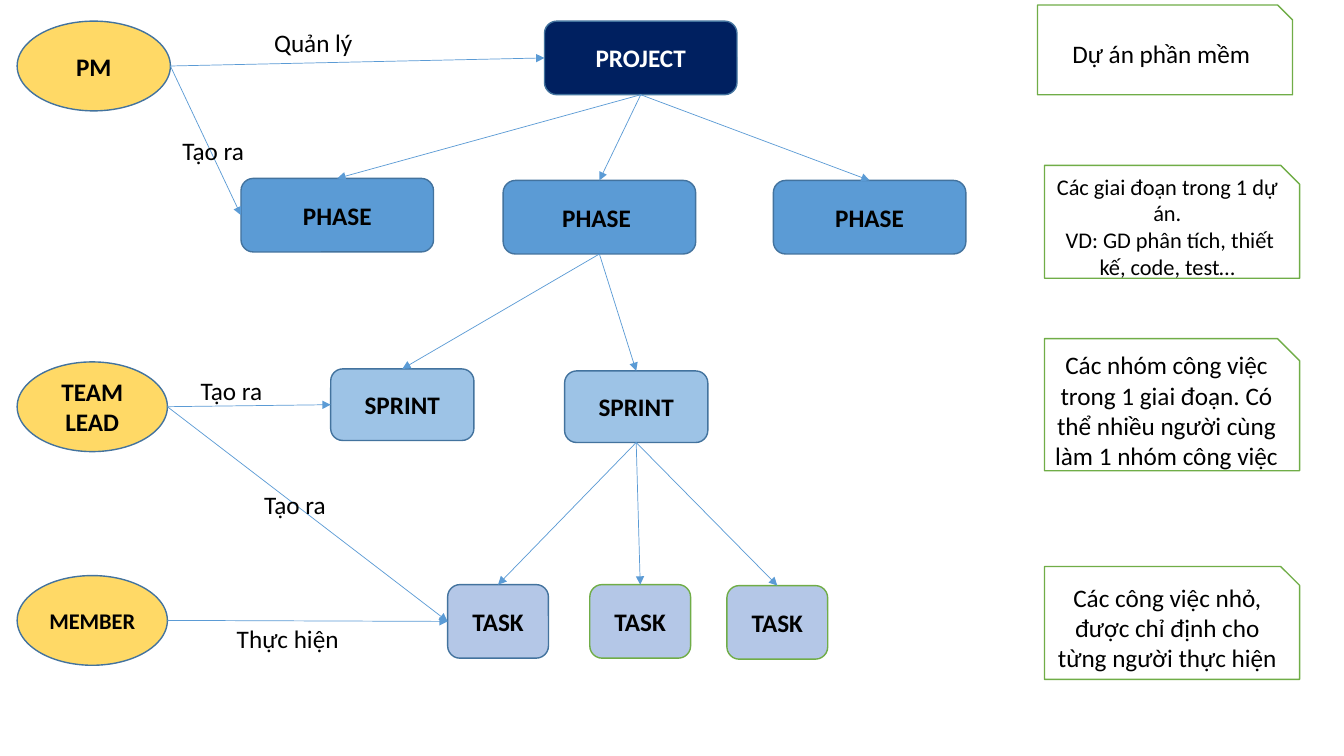
"""Build the slide that maps project roles to phases, sprints and tasks."""
from dataclasses import dataclass

from lxml.etree import SubElement
from pptx import Presentation
from pptx.dml.color import RGBColor
from pptx.enum.shapes import MSO_CONNECTOR, MSO_SHAPE as Preset
from pptx.enum.text import MSO_ANCHOR as Anchor, MSO_AUTO_SIZE as AutoSize, PP_ALIGN as Align
from pptx.oxml.ns import qn
from pptx.shapes.autoshape import Shape
from pptx.slide import Slide
from pptx.text.text import TextFrame
from pptx.util import Emu, Pt

EMU_PER_PX = 9144
TOP_SITE, LEFT_SITE, BOTTOM_SITE = 0, 1, 2


@dataclass(frozen=True)
class Theme:
    font: str = "Calibri"
    text_size: int = 18
    small_size: int = 16
    outline_width: float = 1
    arrow_width: float = 0.5
    black: str = "000000"
    white: str = "FFFFFF"
    navy: str = "002060"
    phase: str = "5B9BD5"
    sprint: str = "9DC3E6"
    task: str = "B4C7E7"
    role: str = "FFD966"
    blue_outline: str = "43739E"
    green_outline: str = "70AD47"
    arrow: str = "5B9BD5"


THEME = Theme()


@dataclass(frozen=True)
class Node:
    text: str
    left: int
    top: int
    width: int
    height: int
    fill: str
    outline: str = THEME.blue_outline
    preset: Preset = Preset.ROUNDED_RECTANGLE
    color: str = THEME.black
    size: int = THEME.text_size
    bold: bool = True


@dataclass(frozen=True)
class Label:
    text: str
    left: int
    top: int
    width: int


def phase(text: str, left: int, top: int) -> Node:
    return Node(text, left, top, 191, 73, THEME.phase)


def sprint(left: int, top: int) -> Node:
    return Node("SPRINT", left, top, 142, 71, THEME.sprint)


def task(left: int, top: int, outline: str) -> Node:
    return Node("TASK", left, top, 100, 73, THEME.task, outline)


def role(text: str, top: int, width: int, size: int = THEME.text_size) -> Node:
    return Node(text, 17, top, width, 89, THEME.role, preset=Preset.OVAL, size=size)


def note(text: str, left: int, top: int, height: int, size: int = THEME.text_size) -> Node:
    return Node(text, left, top, 253, height, THEME.white, THEME.green_outline,
                Preset.SNIP_1_RECTANGLE, size=size, bold=False)


NODES: dict[str, Node] = {
    "project": Node("PROJECT", 540, 21, 191, 73, THEME.navy, color=THEME.white),
    "phase 1": phase("PHASE", 239, 177),
    "phase 2": phase("PHASE ", 499, 179),
    "phase 3": phase("PHASE", 767, 179),
    "sprint 1": sprint(328, 366),
    "sprint 2": sprint(560, 368),
    "task 1": task(444, 580, THEME.blue_outline),
    "task 2": task(585, 580, THEME.green_outline),
    "task 3": task(721, 581, THEME.green_outline),
    "pm": role("PM", 21, 152),
    "lead": role("TEAM LEAD", 359, 149),
    "member": role("MEMBER", 571, 149, THEME.small_size),
    "project note": note("Dự án phần mềm", 1029, 5, 89),
    "phase note": note("Các giai đoạn trong 1 dự án.\n VD: GD phân tích, thiết kế, code, test…",
                       1036, 164, 112, THEME.small_size),
    "sprint note": note("Các nhóm công việc trong 1 giai đoạn. "
                        "Có thể nhiều người cùng làm 1 nhóm công việc", 1036, 336, 131),
    "task note": note("Các công việc nhỏ, được chỉ định cho từng người thực hiện",
                      1036, 562, 112),
}
BREAKDOWN: dict[str, tuple[str, ...]] = {
    "project": ("phase 1", "phase 2", "phase 3"),
    "phase 2": ("sprint 1", "sprint 2"),
    "sprint 2": ("task 1", "task 2", "task 3"),
}
DUTIES: dict[str, tuple[str, ...]] = {
    "pm": ("project", "phase 1"),
    "lead": ("sprint 1", "task 1"),
    "member": ("task 1",),
}
LABELS = (
    Label("Quản lý", 262, 22, 99),
    Label("Tạo ra", 171, 129, 82),
    Label("Tạo ra", 189, 367, 82),
    Label("Tạo ra", 252, 481, 82),
    Label("Thực hiện", 225, 613, 123),
)
LABEL_HEIGHT = 40


def px(length: int) -> Emu:
    return Emu(length * EMU_PER_PX)


def rgb(code: str) -> RGBColor:
    return RGBColor.from_string(code)


def write(frame: TextFrame, text: str, size: int, color: str, bold: bool, align: Align) -> None:
    for index, line in enumerate(text.split("\n")):
        para = frame.add_paragraph() if index else frame.paragraphs[0]
        para.alignment = align
        span = para.add_run()
        span.text = line
        span.font.name = THEME.font
        span.font.size = Pt(size)
        span.font.bold = bold
        span.font.color.rgb = rgb(color)


def draw_node(page: Slide, node: Node) -> Shape:
    box = page.shapes.add_shape(node.preset, px(node.left), px(node.top),
                                px(node.width), px(node.height))
    box.shadow.inherit = False
    box.fill.solid()
    box.fill.fore_color.rgb = rgb(node.fill)
    box.line.color.rgb = rgb(node.outline)
    box.line.width = Pt(THEME.outline_width)
    box.text_frame.word_wrap = True
    box.text_frame.vertical_anchor = Anchor.MIDDLE
    write(box.text_frame, node.text, node.size, node.color, node.bold, Align.CENTER)
    return box


def draw_arrow(page: Slide, source: Shape, target: Shape, from_role: bool) -> None:
    start_x, start_y = source.left + source.width, source.top + source.height // 2
    arrow = page.shapes.add_connector(MSO_CONNECTOR.STRAIGHT, start_x, start_y,
                                      target.left, target.top)
    if not from_role:
        arrow.begin_connect(source, BOTTOM_SITE)
    arrow.end_connect(target, LEFT_SITE if from_role else TOP_SITE)
    arrow.line.color.rgb = rgb(THEME.arrow)
    arrow.line.width = Pt(THEME.arrow_width)
    SubElement(arrow.line._get_or_add_ln(), qn("a:tailEnd"), type="triangle")
    SubElement(arrow._element.spPr, qn("a:effectLst"))


def draw_label(page: Slide, label: Label) -> None:
    box = page.shapes.add_textbox(px(label.left), px(label.top),
                                  px(label.width), px(LABEL_HEIGHT))
    box.text_frame.word_wrap = False
    box.text_frame.auto_size = AutoSize.SHAPE_TO_FIT_TEXT
    write(box.text_frame, label.text, THEME.text_size, THEME.black, False, Align.LEFT)


def main() -> None:
    deck = Presentation()
    deck.slide_width, deck.slide_height = px(1333), px(750)
    page = deck.slides.add_slide(deck.slide_layouts[6])
    boxes = {name: draw_node(page, node) for name, node in NODES.items()}
    for links, from_role in ((BREAKDOWN, False), (DUTIES, True)):
        for source, targets in links.items():
            for target in targets:
                draw_arrow(page, boxes[source], boxes[target], from_role)
    for label in LABELS:
        draw_label(page, label)
    deck.save("out.pptx")


if __name__ == "__main__":
    main()
